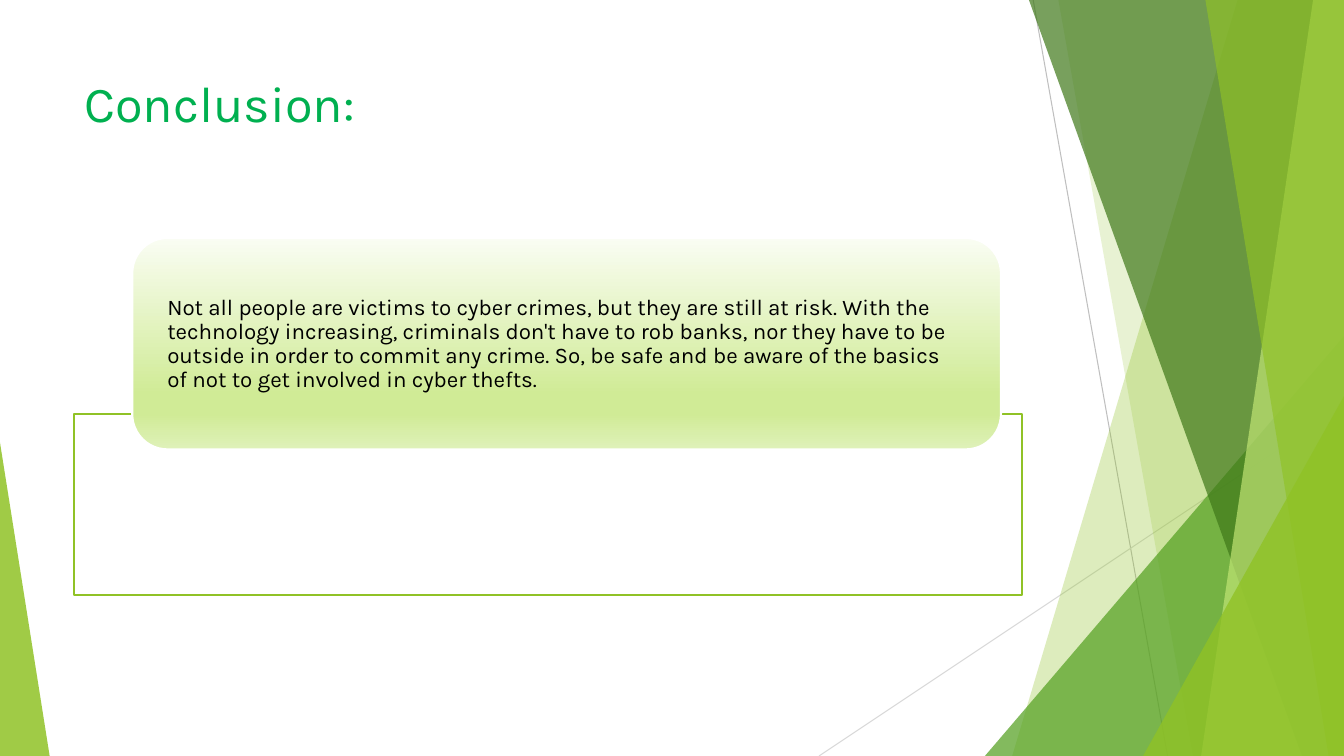
from lxml import etree
from pptx import Presentation
from pptx.dml.color import RGBColor
from pptx.enum.shapes import MSO_CONNECTOR, MSO_SHAPE
from pptx.enum.text import MSO_ANCHOR, PP_ALIGN
from pptx.oxml.ns import qn
from pptx.util import Pt

# Content
TITLE = "Conclusion:"
MESSAGE = (
    "Not all people are victims to cyber crimes, but they are still at risk. "
    "With the technology increasing, criminals don't have to rob banks, nor they "
    "have to be outside in order to commit any crime. So, be safe and be aware of "
    "the basics of not to get involved in cyber thefts."
)

# Style
FONT = "Karla"
WHITE = RGBColor(0xFF, 0xFF, 0xFF)
BLACK = RGBColor(0x00, 0x00, 0x00)
TITLE_GREEN = RGBColor(0x00, 0xB0, 0x50)
LIME = RGBColor(0x90, 0xC2, 0x26)
GREEN = RGBColor(0x54, 0xA0, 0x21)
DARK_GREEN = RGBColor(0x3F, 0x78, 0x19)
PALE_LIME = RGBColor(0xC0, 0xE4, 0x74)
GRAY = RGBColor(0xBF, 0xBF, 0xBF)
LIGHT_GRAY = RGBColor(0xD9, 0xD9, 0xD9)
CARD_STOPS = [
    (0, RGBColor(0xFA, 0xFD, 0xF3)),
    (74, RGBColor(0xD0, 0xEB, 0x96)),
    (83, RGBColor(0xD0, 0xEB, 0x96)),
    (100, RGBColor(0xDF, 0xF1, 0xB9)),
]

# Geometry in points
WIDTH, HEIGHT = 960, 540
TITLE_BOX = (53, 48, 677, 104)
FRAME_BOX = (53, 296, 677, 129)
CARD_BOX = (94.5, 170, 620.5, 151)
MESSAGE_BOX = (101.5, 178, 606, 136)

# Facet decoration, back to front
LINES = [(738, 0, 834, HEIGHT, GRAY), (WIDTH, 290, 585, HEIGHT, LIGHT_GRAY)]
# Bands reach the right edge: top-left x, bottom-left x, colour, opacity
# Triangles stand on the bottom edge: left, top, width, apex, colour, opacity
FACETS = [
    ("band", 884, 723, LIME, 30),
    ("band", 756, 852, LIME, 20),
    ("triangle", 703.5, 240, 256.5, 1, GREEN, 72),
    ("band", 735, 930, DARK_GREEN, 70),
    ("band", 938, 858, PALE_LIME, 70),
    ("band", 861, 949, LIME, 65),
    ("triangle", 816.5, 283, 143.5, 1, LIME, 80),
    ("triangle", 0, 316, 35.5, 0, LIME, 85),
]


def points(values):
    return [Pt(value) for value in values]


def paint(shape, color, opacity=100, line=None):
    shape.shadow.inherit = False
    shape.fill.solid()
    shape.fill.fore_color.rgb = color
    if opacity < 100:
        color_element = shape.fill._xPr.find(qn("a:solidFill"))[0]
        etree.SubElement(color_element, qn("a:alpha"), val=str(opacity * 1000))
    if line is None:
        shape.line.fill.background()
    else:
        shape.line.color.rgb = line
        shape.line.width = Pt(1.5)


def paint_gradient(shape, stops):
    shape.fill.gradient()
    shape.fill.gradient_angle = 270
    stop_list = shape.fill._xPr.find(qn("a:gradFill")).find(qn("a:gsLst"))
    for old_stop in list(stop_list):
        stop_list.remove(old_stop)
    for position, color in stops:
        stop = etree.SubElement(stop_list, qn("a:gs"), pos=str(position * 1000))
        etree.SubElement(stop, qn("a:srgbClr"), val=str(color))


def write(shape, text, size, color, anchor, margins, spacing=1.0):
    frame = shape.text_frame
    frame.word_wrap = True
    frame.vertical_anchor = anchor
    frame.margin_left = frame.margin_right = Pt(margins[0])
    frame.margin_top = frame.margin_bottom = Pt(margins[1])
    paragraph = frame.paragraphs[0]
    paragraph.alignment = PP_ALIGN.LEFT
    paragraph.line_spacing = spacing
    run = paragraph.add_run()
    run.text = text
    run.font.name = FONT
    run.font.size = Pt(size)
    run.font.color.rgb = color


def add_line(shapes, x1, y1, x2, y2, color):
    line = shapes.add_connector(MSO_CONNECTOR.STRAIGHT, *points((x1, y1, x2, y2)))
    line.line.color.rgb = color
    line.line.width = Pt(0.75)
    etree.SubElement(line.element.spPr, qn("a:effectLst"))


def add_band(shapes, top_x, bottom_x, color, opacity):
    builder = shapes.build_freeform(Pt(top_x), 0)
    corners = [(WIDTH, 0), (WIDTH, HEIGHT), (bottom_x, HEIGHT)]
    builder.add_line_segments([points(corner) for corner in corners], close=True)
    paint(builder.convert_to_shape(), color, opacity)


def add_triangle(shapes, left, top, width, apex, color, opacity):
    box = points((left, top, width, HEIGHT - top))
    triangle = shapes.add_shape(MSO_SHAPE.ISOSCELES_TRIANGLE, *box)
    triangle.adjustments[0] = apex
    paint(triangle, color, opacity)


def main():
    presentation = Presentation()
    presentation.slide_width, presentation.slide_height = points((WIDTH, HEIGHT))
    slide = presentation.slides.add_slide(presentation.slide_layouts[5])
    shapes = slide.shapes

    # Decoration
    for line in LINES:
        add_line(shapes, *line)
    for kind, *facet in FACETS:
        add_facet = add_band if kind == "band" else add_triangle
        add_facet(shapes, *facet)

    # Title, brought in front of the decoration
    title = shapes.title
    title.left, title.top, title.width, title.height = points(TITLE_BOX)
    write(title, TITLE, 36, TITLE_GREEN, MSO_ANCHOR.TOP, (7.2, 3.6))
    title.element.getparent().append(title.element)

    # Frame and message card
    frame = shapes.add_shape(MSO_SHAPE.RECTANGLE, *points(FRAME_BOX))
    paint(frame, WHITE, 90, LIME)
    card = shapes.add_shape(MSO_SHAPE.ROUNDED_RECTANGLE, *points(CARD_BOX))
    paint(card, WHITE, line=WHITE)
    paint_gradient(card, CARD_STOPS)
    message = shapes.add_textbox(*points(MESSAGE_BOX))
    write(message, MESSAGE, 16, BLACK, MSO_ANCHOR.MIDDLE, (18, 0), 0.9)

    presentation.save("out.pptx")


if __name__ == "__main__":
    main()
